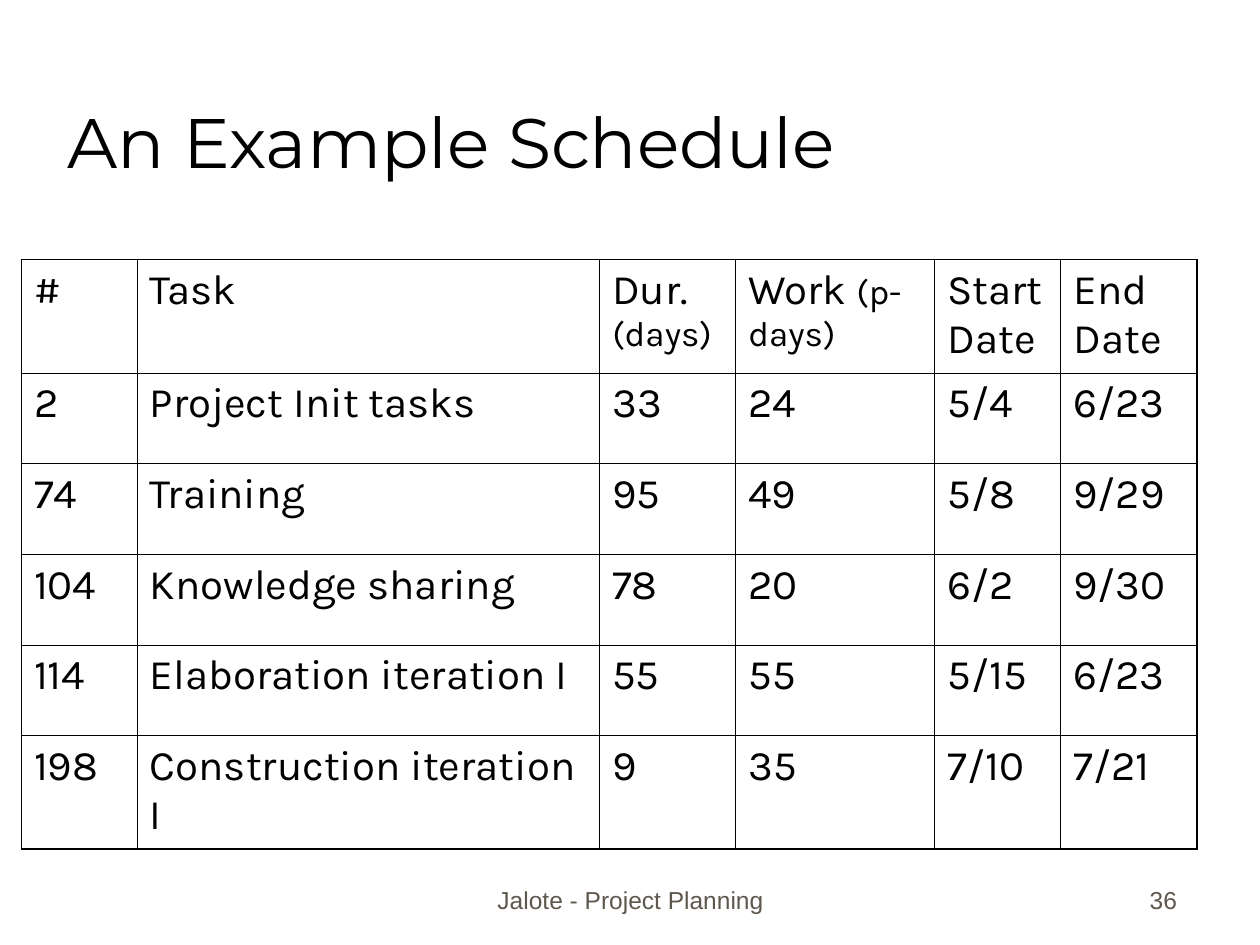
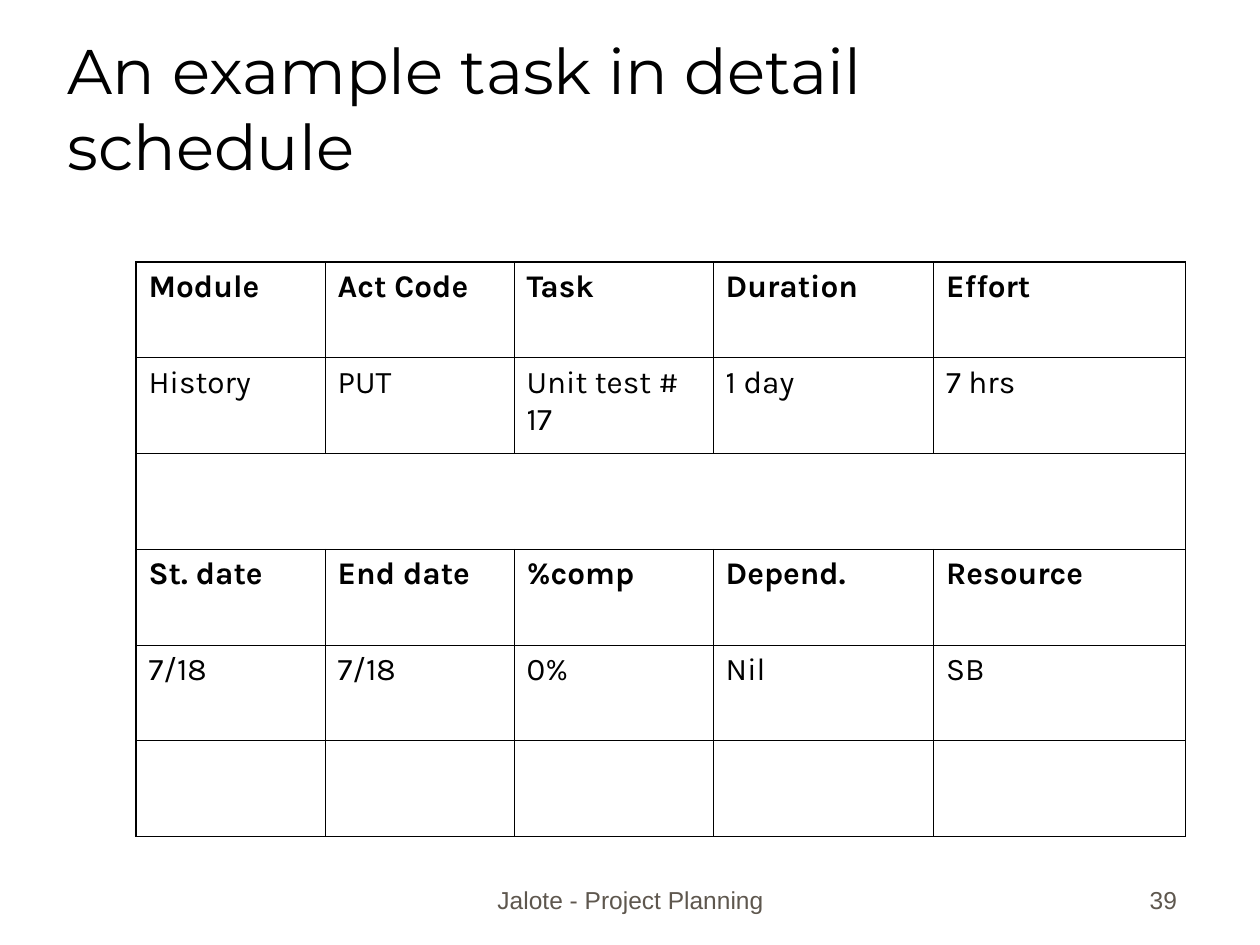
from lxml.etree import SubElement
from pptx import Presentation
from pptx.dml.color import RGBColor
from pptx.enum.text import MSO_ANCHOR, PP_ALIGN
from pptx.oxml.ns import qn
from pptx.util import Inches, Pt

BLACK = RGBColor(0x00, 0x00, 0x00)
FOOTER_GREY = RGBColor(0x5E, 0x57, 0x4E)
TITLE_FONT = "Montserrat"
TABLE_FONT = "Karla"
FOOTER_FONT = "Arial"
OUTER_LINE = Pt(1.08)
INNER_LINE = Pt(0.45)

PAGES = [
    {
        "title": "An Example Schedule",
        "title_size": 40,
        "number": "36",
        "left": 0.17,
        "top": 2.06,
        "columns": [0.92, 3.67, 1.08, 1.58, 1, 1.08],
        "heights": [0.9, 0.72, 0.72, 0.72, 0.72, 0.9],
        "text_size": 24,
        "bold_rows": [],
        "merged_rows": [],
        "rows": [
            ["#", "Task", "Dur. (days)", "Work (p-days)", "Start Date", "End Date"],
            ["2", "Project Init tasks", "33", "24", "5/4", "6/23"],
            ["74", "Training", "95", "49", "5/8", "9/29"],
            ["104", "Knowledge sharing", "78", "20", "6/2", "9/30"],
            ["114", "Elaboration iteration I", "55", "55", "5/15", "6/23"],
            ["198", "Construction iteration I", "9", "35", "7/10", "7/21"],
        ],
    },
    {
        "title": "An example task in detail schedule",
        "title_size": 36,
        "number": "39",
        "left": 1.08,
        "top": 2.08,
        "columns": [1.5, 1.5, 1.58, 1.75, 2],
        "heights": [0.76] * 6,
        "text_size": 18,
        "bold_rows": [0, 3],
        "merged_rows": [2],
        "rows": [
            ["Module", "Act Code", "Task", "Duration", "Effort"],
            ["History", "PUT", "Unit test # 17", "1 day", "7 hrs"],
            [""] * 5,
            ["St. date", "End date", "%comp", "Depend.", "Resource"],
            ["7/18", "7/18", "0%", "Nil", "SB"],
            [""] * 5,
        ],
    },
]


def add_text(page, text, place, font, size, color, align=PP_ALIGN.LEFT, space=0):
    box = page.shapes.add_textbox(*[Inches(length) for length in place])
    frame = box.text_frame
    frame.word_wrap = True
    frame.vertical_anchor = MSO_ANCHOR.BOTTOM
    frame.text = text
    para = frame.paragraphs[0]
    para.alignment = align
    para.space_before = Pt(space)
    span = para.runs[0]
    span.font.name = font
    span.font.size = Pt(size)
    span.font.color.rgb = color


def add_borders(cell, outer_edges):
    properties = cell._tc.get_or_add_tcPr()
    for side, outer in zip(("lnL", "lnR", "lnT", "lnB"), outer_edges):
        width = OUTER_LINE if outer else INNER_LINE
        line = SubElement(properties, qn(f"a:{side}"), w=str(width))
        fill = SubElement(line, qn("a:solidFill"))
        SubElement(fill, qn("a:srgbClr"), val=str(BLACK))


deck = Presentation()
deck.slide_width = Inches(10)
deck.slide_height = Inches(7.5)

for content in PAGES:
    page = deck.slides.add_slide(deck.slide_layouts[6])
    add_text(page, content["title"], (0.44, 0.25, 8.5, 1.25),
             TITLE_FONT, content["title_size"], BLACK)

    rows, columns, heights = content["rows"], content["columns"], content["heights"]
    table = page.shapes.add_table(
        len(rows), len(columns), Inches(content["left"]), Inches(content["top"]),
        Inches(sum(columns)), Inches(sum(heights))).table
    table.first_row = False
    table.horz_banding = False
    for column, width in zip(table.columns, columns):
        column.width = Inches(width)
    for row, height in zip(table.rows, heights):
        row.height = Inches(height)
    for merged in content["merged_rows"]:
        table.cell(merged, 0).merge(table.cell(merged, len(columns) - 1))

    for row_index, row in enumerate(rows):
        for column_index, text in enumerate(row):
            cell = table.cell(row_index, column_index)
            add_borders(cell, (column_index == 0, column_index == len(columns) - 1,
                               row_index == 0, row_index == len(rows) - 1))
            cell.fill.background()
            if not text:
                continue
            label, bracket, unit = text.partition("(")
            para = cell.text_frame.paragraphs[0]
            para.space_before = Pt(5 if unit else content["text_size"] / 4)
            for part, size in ((label, content["text_size"]), (bracket + unit, 20)):
                if part:
                    span = para.add_run()
                    span.text = part
                    span.font.name = TABLE_FONT
                    span.font.size = Pt(size)
                    span.font.bold = row_index in content["bold_rows"]
                    span.font.color.rgb = BLACK

    add_text(page, "Jalote - Project Planning", (3.42, 6.81, 3.17, 0.5),
             FOOTER_FONT, 14, FOOTER_GREY, PP_ALIGN.CENTER, 8.8)
    add_text(page, content["number"], (7.36, 6.81, 2.08, 0.5),
             FOOTER_FONT, 14, FOOTER_GREY, PP_ALIGN.RIGHT, 8.8)

deck.save("out.pptx")
